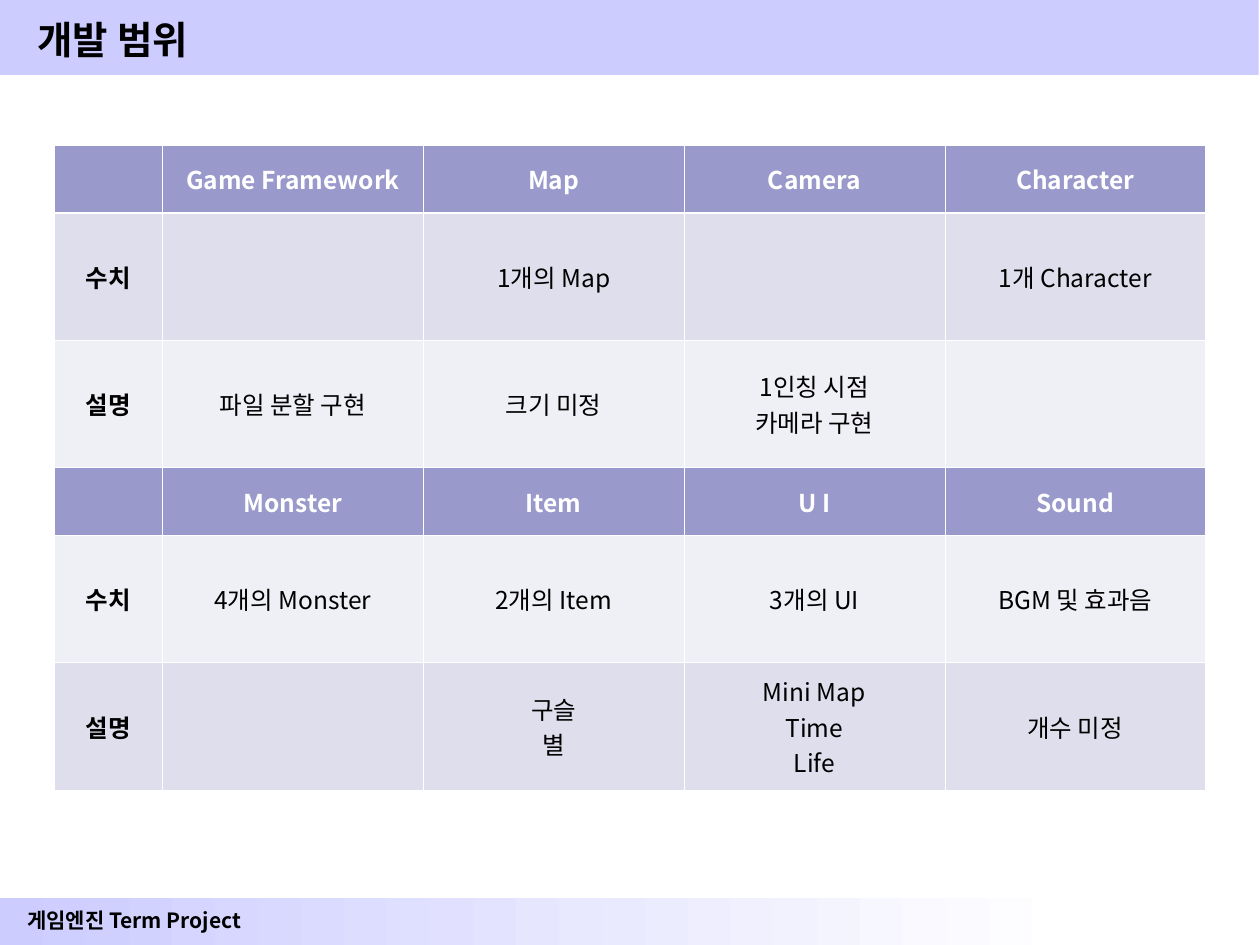
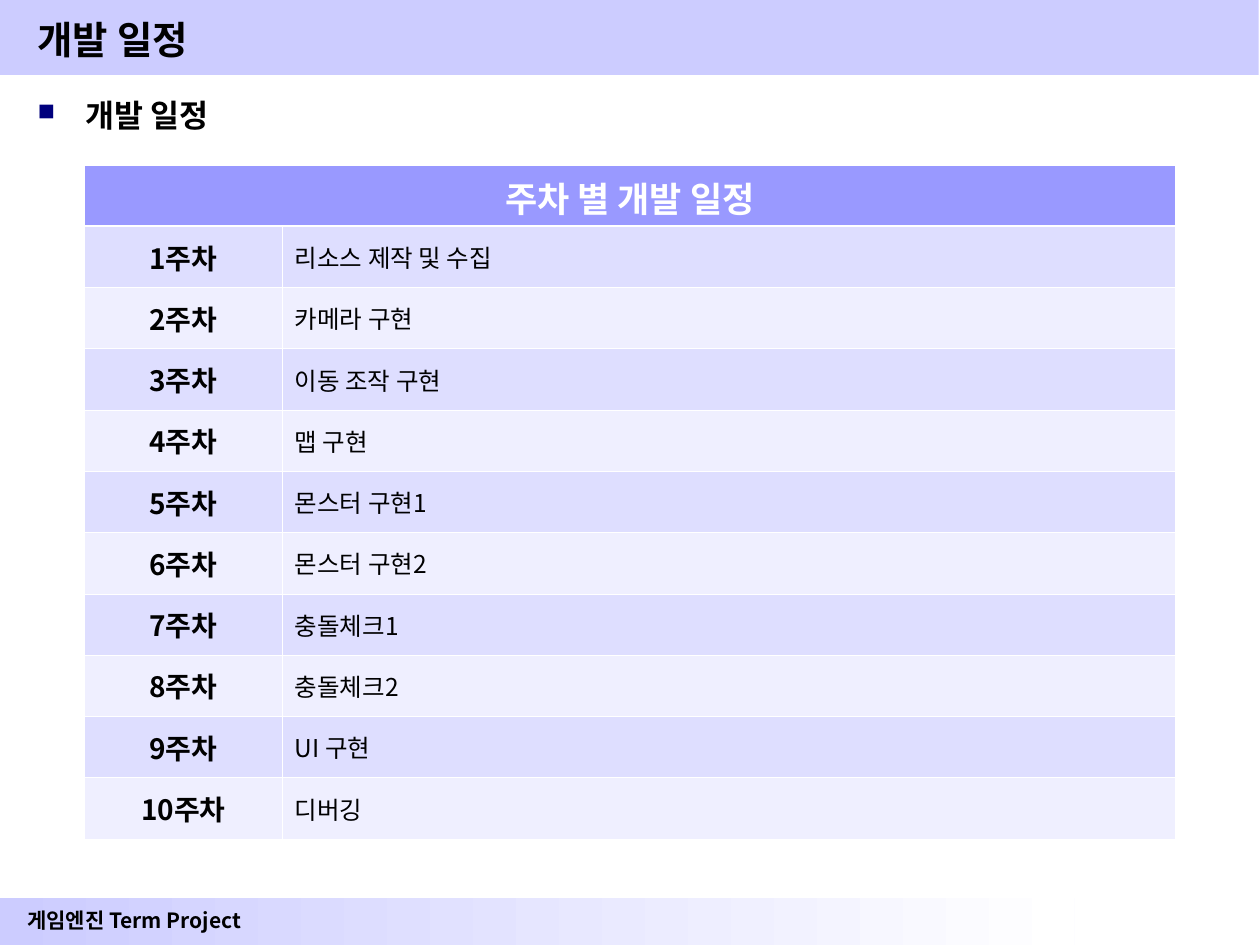
import dataclasses

import lxml.etree
import pptx
import pptx.dml.color
import pptx.enum.shapes
import pptx.enum.text
import pptx.oxml.ns
import pptx.util

ALIGN = pptx.enum.text.PP_ALIGN
ANCHOR = pptx.enum.text.MSO_ANCHOR
UNIT = pptx.util.Inches(0.1)
COLUMNS, ROWS = 100, 75


@dataclasses.dataclass(frozen=True)
class Theme:
    font: str = "Noto Sans CJK KR"
    ink: str = "000000"
    paper: str = "FFFFFF"
    band: str = "CCCCFF"
    bullet: str = "00007D"
    scope_fills: tuple = ("9999CC", "DEDEEC", "EFEFF6")
    schedule_fills: tuple = ("9999FF", "DEDEFF", "EFEFFF")
    title_size: int = 22
    heading_size: int = 18
    table_title_size: int = 20
    week_size: int = 16
    cell_size: int = 14
    footer_size: int = 12
    thin_line: float = 0.45
    thick_line: float = 1.47


THEME = Theme()

SCOPE = [
    ["", "Game Framework", "Map", "Camera", "Character"],
    ["수치", "", "1개의 Map", "", "1개 Character"],
    ["설명", "파일 분할 구현", "크기 미정", "1인칭 시점\n카메라 구현", ""],
    ["", "Monster", "Item", "U I", "Sound"],
    ["수치", "4개의 Monster", "2개의 Item", "3개의 UI", "BGM 및 효과음"],
    ["설명", "", "구슬\n별", "Mini Map\nTime\nLife", "개수 미정"],
]
SCOPE_SHADES = [0, 1, 2, 0, 2, 1]

TASKS = [
    "리소스 제작 및 수집", "카메라 구현", "이동 조작 구현", "맵 구현", "몬스터 구현1",
    "몬스터 구현2", "충돌체크1", "충돌체크2", "UI 구현", "디버깅",
]


def grid(*cells):
    return [round(n * UNIT) for n in cells]


def rgb(value):
    return pptx.dml.color.RGBColor.from_string(value)


def add_xml(parent, tag, **attrs):
    return lxml.etree.SubElement(parent, pptx.oxml.ns.qn(tag), attrs)


def write(tf, text, size, color=THEME.ink, bold=True, align=ALIGN.LEFT):
    for i, line in enumerate(text.split("\n")):
        p = tf.add_paragraph() if i else tf.paragraphs[0]
        p.alignment = align
        r = p.add_run()
        r.text = line
        for font in (p.font, r.font):
            font.name, font.size, font.bold = THEME.font, pptx.util.Pt(size), bold
            font.color.rgb = rgb(color)
        add_xml(r.font._element, "a:ea", typeface=THEME.font)


def add_text(slide, box, text, size, align=ALIGN.LEFT, anchor=ANCHOR.TOP):
    tf = slide.shapes.add_textbox(*grid(*box)).text_frame
    tf.word_wrap = True
    tf.vertical_anchor = anchor
    write(tf, text, size, align=align)
    return tf


def add_band(slide, box, fade=False):
    sp = slide.shapes.add_shape(pptx.enum.shapes.MSO_SHAPE.RECTANGLE, *grid(*box))
    sp.shadow.inherit = False
    sp.line.fill.background()
    if fade:
        sp.fill.gradient()
        sp.fill.gradient_angle = 0
        for stop, color in zip(sp.fill.gradient_stops, (THEME.band, THEME.paper)):
            stop.color.rgb = rgb(color)
    else:
        sp.fill.solid()
        sp.fill.fore_color.rgb = rgb(THEME.band)


def add_bullet_heading(slide, text):
    tf = add_text(slide, (2, 7.1, 96.1, 63), text, THEME.heading_size)
    p = tf.paragraphs[0]
    p.space_before = pptx.util.Pt(4.5)
    pPr = p._p.get_or_add_pPr()
    indent = pptx.util.Inches(0.38)
    pPr.set("marL", str(indent))
    pPr.set("indent", str(-indent))
    color = lxml.etree.Element(pptx.oxml.ns.qn("a:buClr"))
    add_xml(color, "a:srgbClr", val=THEME.bullet)
    size = lxml.etree.Element(pptx.oxml.ns.qn("a:buSzPct"), val="75000")
    char = lxml.etree.Element(pptx.oxml.ns.qn("a:buChar"), char="■")
    default_font = pPr.find(pptx.oxml.ns.qn("a:defRPr"))
    for element in (color, size, char):
        default_font.addprevious(element)


def set_borders(cell, row):
    top = THEME.thick_line if row == 1 else THEME.thin_line
    bottom = THEME.thick_line if row == 0 else THEME.thin_line
    widths = {"L": THEME.thin_line, "R": THEME.thin_line, "T": top, "B": bottom}
    tcPr = cell._tc.get_or_add_tcPr()
    for side, width in widths.items():
        line = add_xml(tcPr, "a:ln" + side, w=str(pptx.util.Pt(width)))
        add_xml(add_xml(line, "a:solidFill"), "a:srgbClr", val=THEME.paper)


def add_table(slide, left, top, widths, heights, fills):
    box = grid(left, top, sum(widths), sum(heights))
    table = slide.shapes.add_table(len(heights), len(widths), *box).table
    for column, width in zip(table.columns, grid(*widths)):
        column.width = width
    for i, (row, height) in enumerate(zip(table.rows, grid(*heights))):
        row.height = height
        for cell in row.cells:
            cell.vertical_anchor = ANCHOR.MIDDLE
            set_borders(cell, i)
            cell.fill.solid()
            cell.fill.fore_color.rgb = rgb(fills[i])
    return table


def add_frame_slide(prs, title):
    slide = prs.slides.add_slide(prs.slide_layouts[6])
    add_band(slide, (0, 71.3, 85.3, 3.7), fade=True)
    add_band(slide, (0, 0, 99.9, 5.95))
    add_text(slide, (0.4, 71.5, 20.5, 3), "게임엔진 Term Project", THEME.footer_size, ALIGN.CENTER)
    add_text(slide, (2, 0.5, 96.9, 5.2), title, THEME.title_size, anchor=ANCHOR.MIDDLE)
    return slide


def build_scope(prs):
    slide = add_frame_slide(prs, "개발 범위")
    heights = [10.1 if shade else 5.4 for shade in SCOPE_SHADES]
    fills = [THEME.scope_fills[shade] for shade in SCOPE_SHADES]
    table = add_table(slide, 4.3, 11.5, [8.6] + [20.7] * 4, heights, fills)
    for i, texts in enumerate(SCOPE):
        header = SCOPE_SHADES[i] == 0
        color = THEME.paper if header else THEME.ink
        for j, text in enumerate(texts):
            if text:
                tf = table.cell(i, j).text_frame
                write(tf, text, THEME.cell_size, color, header or j == 0, ALIGN.CENTER)


def build_schedule(prs):
    slide = add_frame_slide(prs, "개발 일정")
    add_bullet_heading(slide, "개발 일정")
    header, *stripes = THEME.schedule_fills
    fills = [header] + [stripes[i % 2] for i in range(len(TASKS))]
    heights = [53.5 / len(fills)] * len(fills)
    table = add_table(slide, 6.7, 13.1, [15.7, 70.9], heights, fills)
    title = table.cell(0, 0)
    title.merge(table.cell(0, 1))
    write(title.text_frame, "주차 별 개발 일정", THEME.table_title_size, THEME.paper, align=ALIGN.CENTER)
    for week, task in enumerate(TASKS, 1):
        write(table.cell(week, 0).text_frame, f"{week}주차", THEME.week_size, align=ALIGN.CENTER)
        write(table.cell(week, 1).text_frame, task, THEME.cell_size, bold=False)


def main():
    prs = pptx.Presentation()
    prs.slide_width, prs.slide_height = grid(COLUMNS, ROWS)
    build_scope(prs)
    build_schedule(prs)
    prs.save("out.pptx")


if __name__ == "__main__":
    main()
